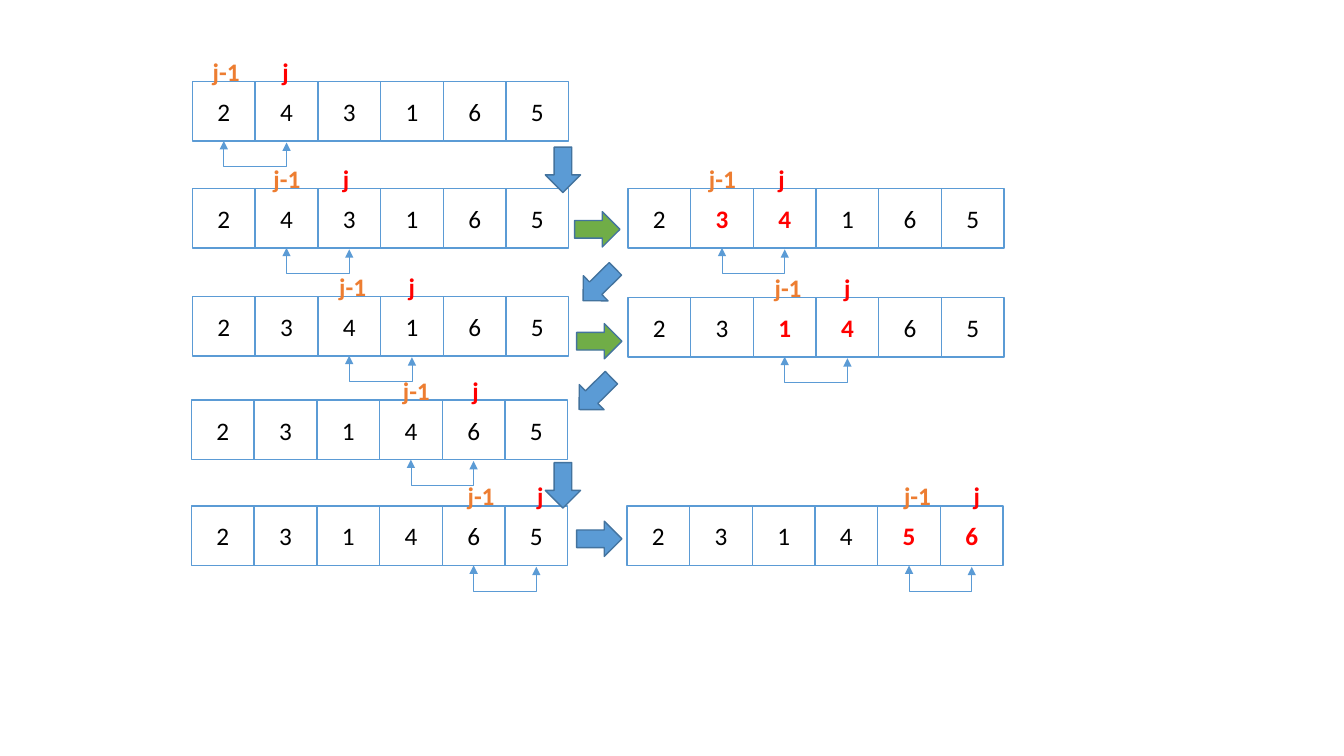
from pptx import Presentation
from pptx import util as u
from pptx.dml.color import RGBColor
from pptx.enum import shapes, text
from pptx.oxml import parse_xml
from pptx.oxml.ns import nsdecls

BLUE, EDGE, GREEN = "5B9BD5", "43739E", "70AD47"
RED, ORANGE, BLACK, WHITE = "FF0000", "ED7D31", "000000", "FFFFFF"
WIDE, HIGH = 0.622, 0.59
GAP, DEEP, RISE = 0.014, 0.25, 0.3

# fields: left, top, values, index of j, label shift, swapped
ROWS = [
    (1.91, 0.81, "243165", 1, 0.17, False),
    (1.91, 1.87, "243165", 2, 0.15, False),
    (6.23, 1.87, "234165", 2, 0.15, True),
    (1.91, 2.94, "234165", 3, 0.18, False),
    (6.23, 2.95, "231465", 3, 0.18, True),
    (1.9, 3.97, "231465", 4, 0.2, False),
    (1.9, 5.02, "231465", 5, 0.22, False),
    (6.22, 5.02, "231456", 5, 0.23, True),
]
ARROWS = [
    (5.41, 1.46, 0, BLUE),
    (5.75, 2.05, 270, GREEN),
    (5.77, 2.6, 45.4, BLUE),
    (5.77, 3.16, 270, GREEN),
    (5.73, 3.68, 45.4, BLUE),
    (5.41, 4.59, 0, BLUE),
    (5.77, 5.12, 270, BLUE),
]

deck = Presentation()
deck.slide_width, deck.slide_height = u.Inches(13.333), u.Inches(7.5)
slide = deck.slides.add_slide(deck.slide_layouts[6])


def rgb(code):
    return RGBColor.from_string(code)


def write(shape, words, color, bold):
    shape.text_frame.text = words
    font = shape.text_frame.paragraphs[0].runs[0].font
    font.name, font.size, font.bold = "Calibri", u.Pt(18), bold
    font.color.rgb = rgb(color)


def block(kind, box, fill, edge):
    shape = slide.shapes.add_shape(kind, *map(u.Inches, box))
    shape.shadow.inherit = False
    shape.fill.solid()
    shape.fill.fore_color.rgb = rgb(fill)
    shape.line.color.rgb = rgb(edge)
    shape.line.width = u.Pt(1)
    return shape


def cell(left, top, digit, hot):
    shape = block(shapes.MSO_SHAPE.RECTANGLE, (left, top, WIDE, HIGH), WHITE, BLUE)
    write(shape, digit, RED if hot else BLACK, hot)
    shape.text_frame.vertical_anchor = text.MSO_ANCHOR.MIDDLE
    shape.text_frame.paragraphs[0].alignment = text.PP_ALIGN.CENTER


def label(left, top, width, words, color):
    box = slide.shapes.add_textbox(*map(u.Inches, (left, top, width, 0.4)))
    write(box, words, color, True)
    box.text_frame.word_wrap = True
    box.text_frame.auto_size = text.MSO_AUTO_SIZE.SHAPE_TO_FIT_TEXT


def bracket(mid, top):
    y = top + GAP / 2
    ends = (mid + GAP / 2, y - WIDE / 2, mid - GAP / 2, y + WIDE / 2)
    link = slide.shapes.add_connector(shapes.MSO_CONNECTOR.ELBOW, *map(u.Inches, ends))
    link.line.color.rgb = rgb(BLUE)
    link.line.width = u.Pt(0.5)
    props = link._element.spPr
    props.xfrm.set("rot", "16200000")
    bend = round(DEEP / GAP * 100000)
    guides = props.prstGeom.get_or_add_avLst()
    guides.append(parse_xml(f'<a:gd {nsdecls("a")} name="adj1" fmla="val {bend}"/>'))
    for tag in ("headEnd", "tailEnd"):
        props.ln.append(parse_xml(f'<a:{tag} {nsdecls("a")} type="triangle"/>'))
    props.append(parse_xml(f'<a:effectLst {nsdecls("a")}/>'))


for left, top, digits, j, shift, swapped in ROWS:
    for i, digit in enumerate(digits):
        cell(left + i * WIDE, top, digit, swapped and i in (j - 1, j))
    edge = left + j * WIDE
    label(edge + shift, top - RISE, 0.35, "j", RED)
    label(edge + shift - 0.69, top - RISE, 0.55, "j-1", ORANGE)
    bracket(edge, top + HIGH)

for left, top, turn, fill in ARROWS:
    arrow = block(shapes.MSO_SHAPE.DOWN_ARROW, (left, top, 0.35, 0.45), fill, EDGE)
    arrow.rotation = turn

deck.save("out.pptx")
